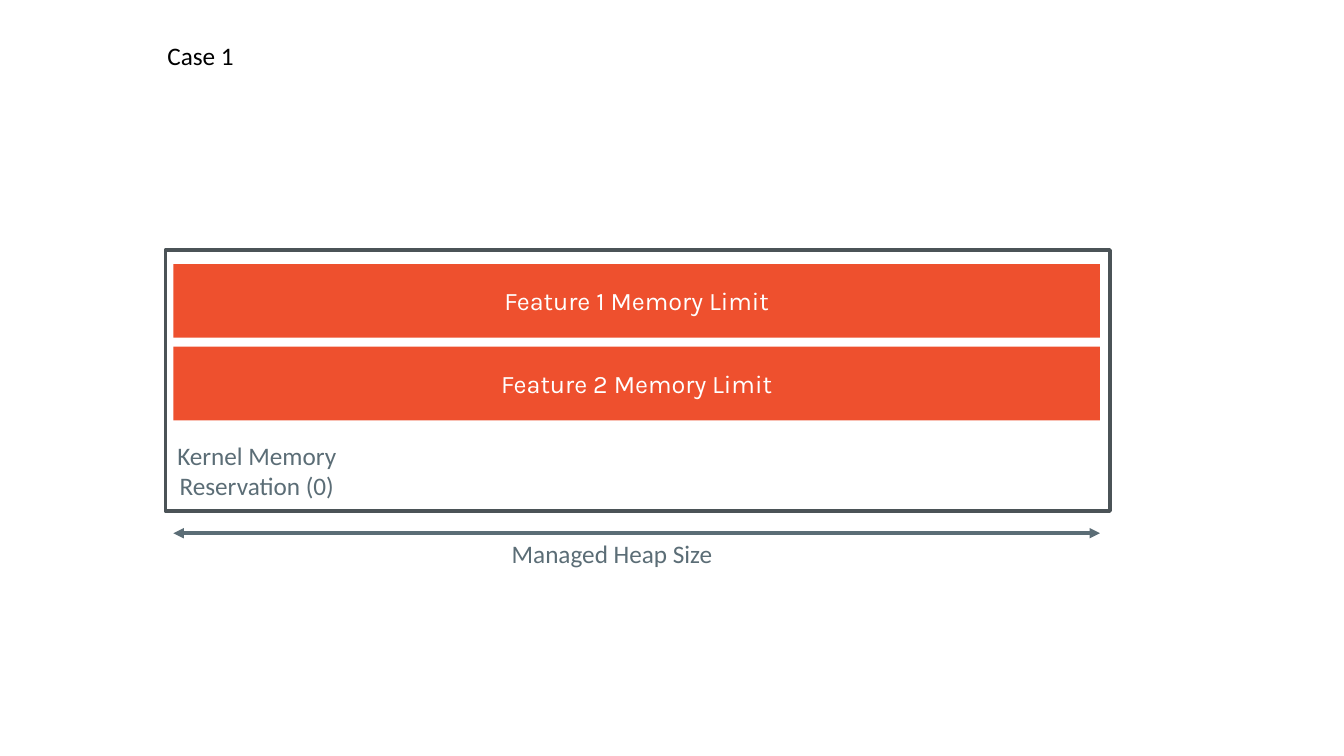
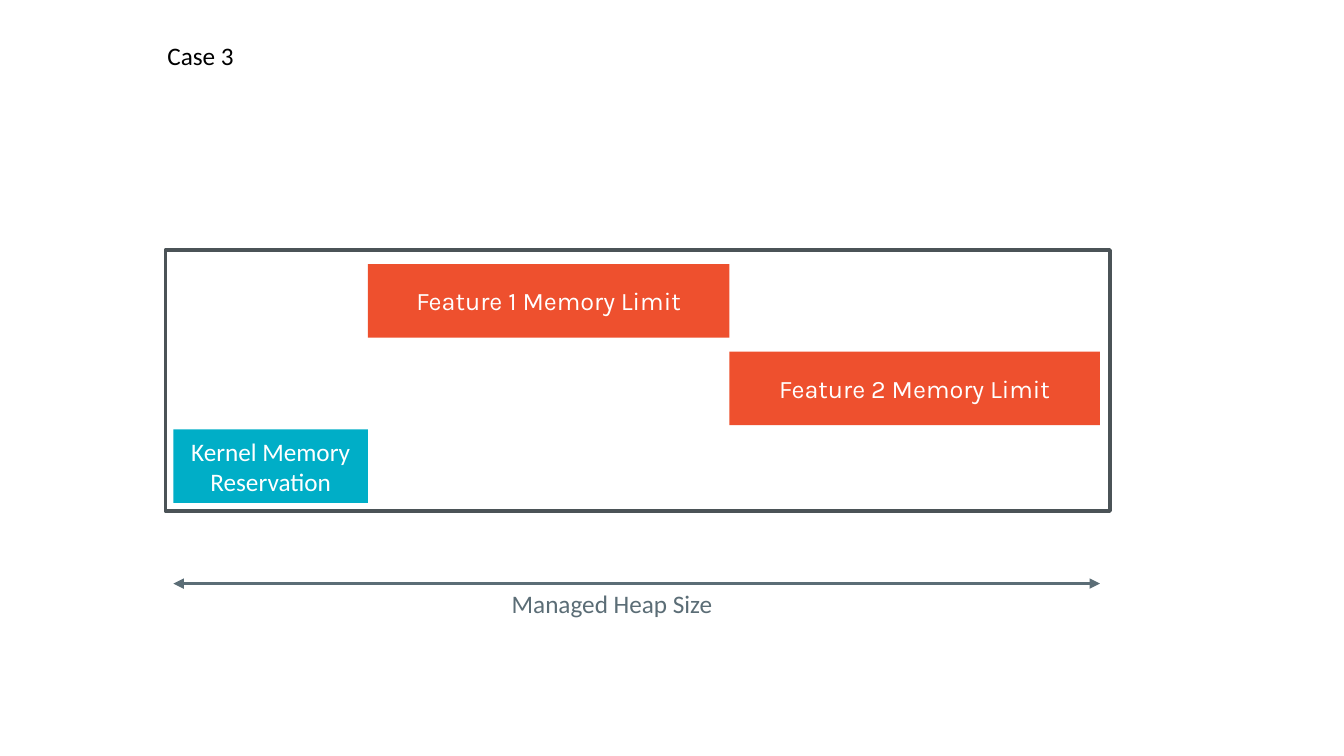
from dataclasses import dataclass

from lxml.etree import SubElement
from pptx import Presentation
from pptx.dml.color import RGBColor as Rgb
from pptx.enum.shapes import MSO_CONNECTOR as Connector, MSO_SHAPE as Preset
from pptx.enum.text import MSO_ANCHOR as Anchor, PP_ALIGN as Align
from pptx.oxml.ns import qn
from pptx.util import Inches, Pt

FEATURE_1 = "Feature 1 Memory Limit"
FEATURE_2 = "Feature 2 Memory Limit"
HEAP_SIZE = "Managed Heap Size"

# fmt: off
CASES = [
    {"title": "Case 1", "arrow_top": 5.29, "blocks": [
        (FEATURE_1, "feature", 0, (0, 1)),
        (FEATURE_2, "feature", 1, (0, 1)),
        ("Kernel Memory Reservation (0)", "note", 2.05, (-0.01, 0.19)),
    ]},
    {"title": "Case 3", "arrow_top": 5.79, "blocks": [
        (FEATURE_1, "feature", 0, (0.21, 0.6)),
        (FEATURE_2, "feature", 1.06, (0.6, 1)),
        ("Kernel Memory Reservation", "kernel", 2, (0, 0.21)),
    ]},
]
# fmt: on


@dataclass(frozen=True)
class Theme:
    black: Rgb = Rgb.from_string("000000")
    white: Rgb = Rgb.from_string("FFFFFF")
    slate: Rgb = Rgb.from_string("5B6D76")
    frame: Rgb = Rgb.from_string("4B5357")
    orange: Rgb = Rgb.from_string("EE502E")
    cyan: Rgb = Rgb.from_string("00AEC7")
    body: str = "Calibri"
    accent: str = "Karla"
    size: Pt = Pt(18)
    stroke: Pt = Pt(2.5)


THEME = Theme()
STYLES = {
    "feature": (THEME.orange, THEME.accent, THEME.white),
    "kernel": (THEME.cyan, THEME.body, THEME.white),
    "note": (None, THEME.body, THEME.slate),
}
SLIDE_SIZE = (13.33, 7.5)
TITLE = (1.56, 0.35, 0.87, 0.4)
FRAME = (1.64, 2.48, 9.37, 2.59)
HEAP_LEFT, HEAP_WIDTH = 1.72, 9.19
ROW_TOP, ROW_PITCH, ROW_HEIGHT = 2.62, 0.82, 0.73
CAPTION_LEFT, CAPTION_WIDTH, CAPTION_HEIGHT = 4.97, 2.2, 0.4


def assign(target, values):
    for name, value in values.items():
        setattr(target, name, value)


def box(left, top, width, height):
    return [Inches(length) for length in (left, top, width, height)]


def write(holder, text, font, color, align=Align.CENTER, anchor=Anchor.MIDDLE, wrap=True):
    frame = holder.text_frame
    frame.text = text
    margins = {"margin_left": 0.1, "margin_right": 0.1, "margin_top": 0.05, "margin_bottom": 0.05}
    assign(frame, {name: Inches(length) for name, length in margins.items()})
    assign(frame, {"word_wrap": wrap, "vertical_anchor": anchor})
    paragraph = frame.paragraphs[0]
    paragraph.alignment = align
    run_font = paragraph.runs[0].font
    assign(run_font, {"name": font, "size": THEME.size, "bold": False})
    run_font.color.rgb = color


def add_rectangle(slide, place, fill=None, outline=None):
    rectangle = slide.shapes.add_shape(Preset.RECTANGLE, *box(*place))
    rectangle.shadow.inherit = False
    if fill is None:
        rectangle.fill.background()
    else:
        rectangle.fill.solid()
        rectangle.fill.fore_color.rgb = fill
    if outline is None:
        rectangle.line.fill.background()
    else:
        rectangle.line.color.rgb = outline
        rectangle.line.width = THEME.stroke
    return rectangle


def add_title(slide, text):
    title = slide.shapes.title
    assign(title, dict(zip(("left", "top", "width", "height"), box(*TITLE))))
    write(title, text, THEME.body, THEME.black, Align.LEFT, Anchor.TOP, False)


def add_block(slide, text, style, row, span):
    fill, font, color = STYLES[style]
    start, end = span
    place = (
        HEAP_LEFT + start * HEAP_WIDTH,
        ROW_TOP + row * ROW_PITCH,
        (end - start) * HEAP_WIDTH,
        ROW_HEIGHT,
    )
    if fill is None:
        block = slide.shapes.add_textbox(*box(*place))
    else:
        block = add_rectangle(slide, place, fill)
    write(block, text, font, color)


def add_heap_size(slide, top):
    ends = box(HEAP_LEFT, top, HEAP_LEFT + HEAP_WIDTH, top)
    arrow = slide.shapes.add_connector(Connector.STRAIGHT, *ends)
    arrow.line.color.rgb = THEME.slate
    arrow.line.width = THEME.stroke
    outline = arrow.line._get_or_add_ln()
    for end in ("a:headEnd", "a:tailEnd"):
        SubElement(outline, qn(end), type="triangle")
    SubElement(arrow._element.spPr, qn("a:effectLst"))
    place = (CAPTION_LEFT, top, CAPTION_WIDTH, CAPTION_HEIGHT)
    caption = slide.shapes.add_textbox(*box(*place))
    write(caption, HEAP_SIZE, THEME.body, THEME.slate, anchor=Anchor.TOP, wrap=False)


def main():
    deck = Presentation()
    deck.slide_width, deck.slide_height = (Inches(length) for length in SLIDE_SIZE)
    title_only = deck.slide_layouts[5]
    for case in CASES:
        slide = deck.slides.add_slide(title_only)
        add_title(slide, case["title"])
        add_heap_size(slide, case["arrow_top"])
        add_rectangle(slide, FRAME, outline=THEME.frame)
        for block in case["blocks"]:
            add_block(slide, *block)
    deck.save("out.pptx")


if __name__ == "__main__":
    main()
